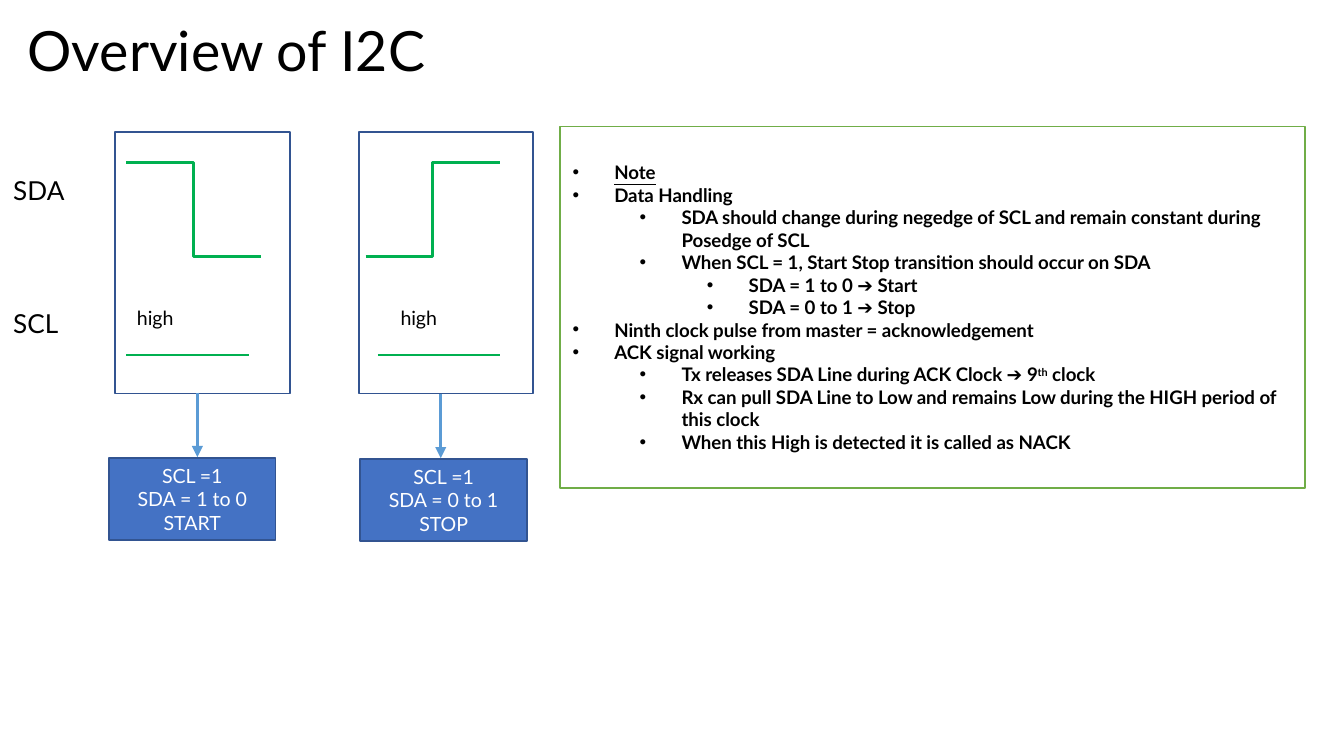
from dataclasses import dataclass

from lxml import etree
from pptx import Presentation
from pptx import util as u
from pptx.dml.color import RGBColor
from pptx.enum import shapes, text
from pptx.oxml.ns import qn

Cm, Pt = u.Cm, u.Pt


@dataclass(frozen=True)
class Theme:
    font: str = "Lato"
    ink: str = "000000"
    paper: str = "FFFFFF"
    edge: str = "325491"
    box: str = "4472C4"
    wave: str = "00B050"
    arrow: str = "5B9BD5"
    note: str = "70AD47"
    head: float = 29.7
    label: float = 14
    small: float = 10.5
    body: float = 10
    thin: float = 1
    thick: float = 1.5


@dataclass(frozen=True)
class Signal:
    """One bus condition; lengths in cm."""
    frame: float
    wave: float
    falls: bool
    clock: float
    high: float
    arrow: float
    arrow_top: float
    state: float
    words: tuple


@dataclass(frozen=True)
class Item:
    level: int
    runs: tuple
    under: bool = False


T = Theme()
TOP, LOW, CLOCK = 3.07, 4.85, 6.71
DROP = 1.22

SIGNALS = (
    Signal(2.18, 2.39, True, 2.39, 2.34, 3.73, 7.42, 2.06,
           ("SCL =1", "SDA = 1 to 0", "START")),
    Signal(6.78, 6.91, False, 7.14, 7.32, 8.33, 7.44, 6.81,
           ("SCL =1", "SDA = 0 to 1", "STOP")),
)

NOTES = (
    Item(0, ("Note",), True),
    Item(0, ("Data Handling",)),
    Item(1, ("SDA should change during negedge of SCL and remain constant "
             "during Posedge of SCL",)),
    Item(1, ("When SCL = 1, Start Stop transition should occur on SDA",)),
    Item(2, ("SDA = 1 to 0 ➔ Start",)),
    Item(2, ("SDA = 0 to 1 ➔ Stop",)),
    Item(0, ("Ninth clock pulse from master = acknowledgement",)),
    Item(0, ("ACK signal working",)),
    Item(1, ("Tx releases SDA Line during ACK Clock ➔ 9", "th", " clock")),
    Item(1, ("Rx can pull SDA Line to Low and remains Low during the HIGH "
             "period of this clock",)),
    Item(1, ("When this High is detected it is called as NACK",)),
)


def apply(obj, form: dict) -> None:
    for name, value in form.items():
        setattr(obj, name, value)


def rgb(code: str) -> RGBColor:
    return RGBColor.from_string(code)


def place(shape, *cm: float) -> None:
    apply(shape, dict(zip(("left", "top", "width", "height"), map(Cm, cm))))


def write(para, words: str, size: float, color: str = T.ink, **form):
    run = para.add_run()
    run.text = words
    apply(run.font, {"name": T.font, "size": Pt(size), **form})
    run.font.color.rgb = rgb(color)
    return run


def outline(shape, color: str, width: float) -> None:
    shape.line.color.rgb = rgb(color)
    shape.line.width = Pt(width)


def add_rect(slide, x: float, y: float, w: float, h: float, fill: str = ""):
    rect = slide.shapes.add_shape(shapes.MSO_SHAPE.RECTANGLE,
                                  Cm(x), Cm(y), Cm(w), Cm(h))
    rect.shadow.inherit = False
    if fill:
        rect.fill.solid()
        rect.fill.fore_color.rgb = rgb(fill)
    else:
        rect.fill.background()
    outline(rect, T.edge, T.thin)
    return rect


def add_line(slide, ends: tuple, color: str, bent: bool = False,
             tip: bool = False) -> None:
    kind = shapes.MSO_CONNECTOR.ELBOW if bent else shapes.MSO_CONNECTOR.STRAIGHT
    line = slide.shapes.add_connector(kind, *map(Cm, ends))
    outline(line, color, T.thick)
    props = line._element.spPr
    if tip:
        etree.SubElement(props.find(qn("a:ln")), qn("a:tailEnd"), type="triangle")
    etree.SubElement(props, qn("a:effectLst"))


def add_label(slide, words: str, x: float, y: float, w: float, h: float,
              size: float) -> None:
    frame = slide.shapes.add_textbox(Cm(x), Cm(y), Cm(w), Cm(h)).text_frame
    frame.word_wrap = True
    write(frame.paragraphs[0], words, size)


def add_signal(slide, sig: Signal) -> None:
    add_rect(slide, sig.frame, 2.49, 3.3, 4.95)
    start, end = (TOP, LOW) if sig.falls else (LOW, TOP)
    add_line(slide, (sig.wave, start, sig.wave + 2.54, end), T.wave, bent=True)
    add_line(slide, (sig.clock, CLOCK, sig.clock + 2.31, CLOCK), T.wave)
    add_label(slide, "high", sig.high, 5.66, 1.75, 0.71, T.small)
    tip = sig.arrow_top + DROP
    box = add_rect(slide, sig.state, tip + 0.02, 3.15, 1.55, T.box)
    frame = box.text_frame
    frame.vertical_anchor = text.MSO_ANCHOR.MIDDLE
    for i, words in enumerate(sig.words):
        para = frame.add_paragraph() if i else frame.paragraphs[0]
        para.alignment = text.PP_ALIGN.CENTER
        write(para, words, T.small, T.paper)
    add_line(slide, (sig.arrow, sig.arrow_top, sig.arrow, tip), T.arrow, tip=True)


def set_frame(frame, inset: float) -> None:
    apply(frame, {"auto_size": text.MSO_AUTO_SIZE.NONE, "word_wrap": True,
                  "vertical_anchor": text.MSO_ANCHOR.MIDDLE,
                  "margin_left": Cm(inset), "margin_right": Cm(inset)})


def set_title(shape) -> None:
    place(shape, 0.33, 0.28, 21.9, 1.47)
    set_frame(shape.text_frame, 0.19)
    para = shape.text_frame.paragraphs[0]
    apply(para, {"alignment": text.PP_ALIGN.LEFT, "line_spacing": 0.9})
    write(para, "Overview of I2C", T.head)


def set_bullet(para, level: int) -> None:
    props = para._p.get_or_add_pPr()
    props.set("marL", str(Cm(0.79 + 1.27 * level)))
    props.set("indent", str(-Cm(0.79)))
    etree.SubElement(props, qn("a:buFont"), typeface="Arial")
    etree.SubElement(props, qn("a:buChar"), char="•")


def set_notes(shape) -> None:
    place(shape, 10.59, 2.39, 14.07, 6.83)
    shape.fill.solid()
    shape.fill.fore_color.rgb = rgb(T.paper)
    outline(shape, T.note, T.thin)
    frame = shape.text_frame
    set_frame(frame, 0.23)
    for i, item in enumerate(NOTES):
        para = frame.add_paragraph() if i else frame.paragraphs[0]
        apply(para, {"level": item.level, "line_spacing": 1.0,
                     "space_before": Pt(0), "space_after": Pt(0)})
        set_bullet(para, item.level)
        for words in item.runs:
            run = write(para, words, T.body, bold=True, underline=item.under)
            if words == "th":
                run.font._element.set("baseline", "30000")


def main() -> None:
    deck = Presentation()
    apply(deck, {"slide_width": Cm(25.4), "slide_height": Cm(14.29)})
    slide = deck.slides.add_slide(deck.slide_layouts[1])
    set_title(slide.shapes.title)
    set_notes(slide.placeholders[1])
    for words, y in (("SDA", 3.18), ("SCL", 5.69)):
        add_label(slide, words, 0, y, 1.91, 0.86, T.label)
    for sig in SIGNALS:
        add_signal(slide, sig)
    deck.save("out.pptx")


if __name__ == "__main__":
    main()
